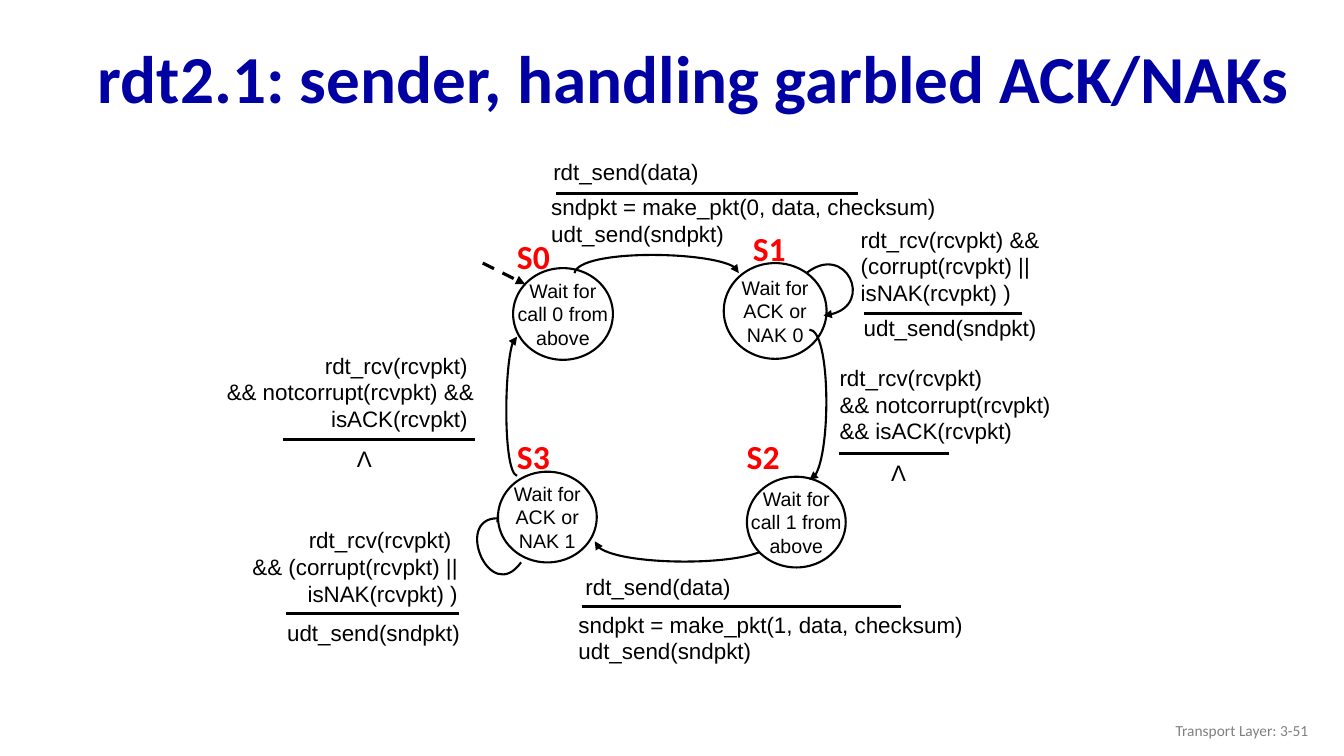
from dataclasses import dataclass

from lxml.etree import SubElement
from pptx import Presentation
from pptx.dml.color import RGBColor
from pptx.enum.dml import MSO_LINE
from pptx.enum.shapes import MSO_CONNECTOR, MSO_SHAPE
from pptx.enum.text import MSO_ANCHOR, MSO_AUTO_SIZE, PP_ALIGN
from pptx.oxml.ns import qn
from pptx.util import Emu, Inches, Pt

BLACK = RGBColor(0, 0, 0)
WHITE = RGBColor(255, 255, 255)
NAVY = RGBColor(0, 0, 0xA3)
RED = RGBColor(255, 0, 0)
GRAY = RGBColor(128, 128, 128)

# Grid: ten columns or rows to the inch
CELL = Inches(0.1)
Spot = tuple[float, float]
Box = tuple[float, float, float, float]

LEFT, MID, RIGHT = PP_ALIGN.LEFT, PP_ALIGN.CENTER, PP_ALIGN.RIGHT
CODE = {"size": Pt(16), "name": "Arial", "color": BLACK}
STATE = CODE | {"size": Pt(14)}
TAG = {"size": Pt(24), "name": "Calibri", "bold": True, "color": RED}
HEAD = TAG | {"size": Pt(48), "color": NAVY}
FOOT = {"size": Pt(11), "name": "Calibri", "color": GRAY}


@dataclass
class State:
    tag: str
    text: str
    oval: Box
    mark: Spot


@dataclass
class Label:
    text: str
    box: Box
    align: PP_ALIGN = LEFT
    wrap: bool = True


@dataclass
class Curve:
    start: Spot
    bend: Spot
    pull: Spot
    end: Spot


STATES = [
    State("S0", "Wait for call 0 from above", (50.9, 26.6, 9.9, 9.1), (50.3, 22.9)),
    State("S1", "Wait for ACK or NAK 0", (71.8, 26.1, 10.2, 9.5), (73.7, 22.1)),
    State("S2", "Wait for\ncall 1 from above", (74.1, 47.3, 9.8, 9), (73.1, 42.8)),
    State("S3", "Wait for ACK or NAK 1", (49.4, 46.8, 9.8, 9), (50.3, 42.8)),
]

LABELS = [
    # S0 to S1
    Label("rdt_send(data)", (53.9, 15.2, 23.1, 3.3)),
    Label("sndpkt = make_pkt(0, data, checksum)\nudt_send(sndpkt)", (53.7, 18.7, 40.4, 4.4)),
    # S1 to itself
    Label("rdt_rcv(rcvpkt) &&\v(corrupt(rcvpkt) ||\nisNAK(rcvpkt) )", (84.4, 21.9, 34.8, 6.2)),
    Label("udt_send(sndpkt)", (84.7, 30.7, 24.7, 4.4)),
    # S1 to S2
    Label("rdt_rcv(rcvpkt)\n&& notcorrupt(rcvpkt)\n&& isACK(rcvpkt)", (82.3, 35.6, 32.8, 6.2)),
    Label("Λ", (87.4, 45.1, 3.5, 3.7), MID, False),
    # S2 to S3
    Label("rdt_send(data)", (57.1, 56.4, 26.1, 3.1)),
    Label("sndpkt = make_pkt(1, data, checksum)\nudt_send(sndpkt)", (56.4, 60.1, 41.2, 4.4)),
    # S3 to itself
    Label("rdt_rcv(rcvpkt) \n&& (corrupt(rcvpkt) ||\nisNAK(rcvpkt) )", (20.3, 51.7, 26.1, 6.2), RIGHT),
    Label("udt_send(sndpkt)", (27.5, 60.9, 19.9, 3)),
    # S3 to S0
    Label("rdt_rcv(rcvpkt) \n&& notcorrupt(rcvpkt) &&\visACK(rcvpkt) ", (8.4, 34.4, 39.6, 6.2), RIGHT),
    Label("Λ", (34.4, 43.7, 3.5, 3.7), MID, False),
]

# Rules between event and action: left, right, row
RULES = [
    (55.2, 85.1, 19.2), (85.7, 101.4, 31.1), (83.2, 94.1, 45),
    (57.7, 89.4, 60.2), (28.4, 45.5, 60.9), (28.1, 47.1, 43.6),
]

# Behind the lower states: S2 to S3, S3 to itself
UNDER = [
    Curve((76.5, 53.7), (76.5, 56.2), (59.3, 56.4), (59, 53.7)),
    Curve((51.7, 55.8), (48.6, 60.1), (44.6, 50.5), (50.1, 51.5)),
]

# In front: S0 to S1, S1 to itself, S1 to S2, S3 to S0
OVER = [
    Curve((57, 27.1), (57.4, 24.7), (73.3, 24.9), (73.3, 27.1)),
    Curve((80, 27.1), (83.9, 24), (87.1, 30.8), (81.7, 31.3)),
    Curve((80.3, 32.7), (82.4, 32.7), (82.5, 47.3), (80.3, 47.6)),
    Curve((51.3, 47.2), (49.9, 46.9), (50, 33.4), (51.3, 33.4)),
]


def cells(*vals: float) -> list[Emu]:
    return [Emu(round(v * CELL)) for v in vals]


def put(item, form: dict) -> None:
    for key, val in form.items():
        if key == "color":
            item.color.rgb = val
        else:
            setattr(item, key, val)


def write(shape, text: str, form: dict, align=LEFT, space=1.0, wrap=True, anchor=MSO_ANCHOR.TOP) -> None:
    frame = shape.text_frame
    frame.text = text
    put(frame, {"word_wrap": wrap, "auto_size": MSO_AUTO_SIZE.NONE, "vertical_anchor": anchor})
    for para in frame.paragraphs:
        put(para, {"alignment": align, "line_spacing": space})
        for run in para.runs:
            put(run.font, form)


def note(slide, box: Box, text: str, form: dict, **style) -> None:
    write(slide.shapes.add_textbox(*cells(*box)), text, form, **style)


def tip(line) -> None:
    SubElement(line._get_or_add_ln(), qn("a:tailEnd"), type="triangle")


def rule(slide, start: Spot, end: Spot):
    link = slide.shapes.add_connector(MSO_CONNECTOR.STRAIGHT, *cells(*start, *end))
    put(link.line, {"color": BLACK, "width": Pt(2.25)})
    SubElement(link._element.spPr, qn("a:effectLst"))
    return link


def bow(slide, arc: Curve) -> None:
    pen = slide.shapes.build_freeform(*cells(*arc.start))
    pen.add_line_segments([cells(*p) for p in (arc.bend, arc.pull, arc.end)], close=False)
    shape = pen.convert_to_shape()
    shape.fill.background()
    put(shape.line, {"color": BLACK, "width": Pt(1.5)})
    tip(shape.line)
    shape.shadow.inherit = False
    # Turn the three segments into one cubic curve
    route = shape._element.find(".//" + qn("a:path"))
    legs = route.findall(qn("a:lnTo"))
    cubic = SubElement(route, qn("a:cubicBezTo"))
    for leg in legs:
        cubic.append(leg[0])
        route.remove(leg)


def ring(slide, state: State) -> None:
    oval = slide.shapes.add_shape(MSO_SHAPE.OVAL, *cells(*state.oval))
    oval.fill.solid()
    oval.fill.fore_color.rgb = WHITE
    put(oval.line, {"color": BLACK, "width": Pt(1.5)})
    oval.shadow.inherit = False
    # Text box centred on the oval
    left, top, wide, high = state.oval
    span, rise = 11.4, 8
    box = (left + (wide - span) / 2, top + (high - rise) / 2, span, rise)
    note(slide, box, state.text, STATE, align=MID, anchor=MSO_ANCHOR.MIDDLE)


def main() -> None:
    deck = Presentation()
    deck.slide_width, deck.slide_height = cells(133.33, 75)
    slide = deck.slides.add_slide(deck.slide_layouts[5])

    # Title
    title = slide.shapes.title
    title.left, title.top, title.width, title.height = cells(8.7, 3.2, 121.4, 9.8)
    write(title, "rdt2.1: sender, handling garbled ACK/NAKs", HEAD, space=0.9, anchor=MSO_ANCHOR.MIDDLE)

    # States and transitions
    for arc in UNDER:
        bow(slide, arc)
    for state in STATES:
        ring(slide, state)
    for arc in OVER:
        bow(slide, arc)

    # Entry arrow
    entry = rule(slide, (47.9, 26.1), (52.1, 28.2))
    entry.line.dash_style = MSO_LINE.DASH
    tip(entry.line)

    # Events and actions
    for item in LABELS:
        note(slide, item.box, item.text, CODE, align=item.align, wrap=item.wrap)
    for left, right, row in RULES:
        rule(slide, (left, row), (right, row))

    # State tags and footer
    for state in STATES:
        note(slide, (*state.mark, 5.3, 5), state.tag, TAG, wrap=False)
    note(slide, (100.8, 70.5, 30, 4), "Transport Layer: 3-51", FOOT, align=RIGHT, anchor=MSO_ANCHOR.MIDDLE)

    deck.save("out.pptx")


if __name__ == "__main__":
    main()
